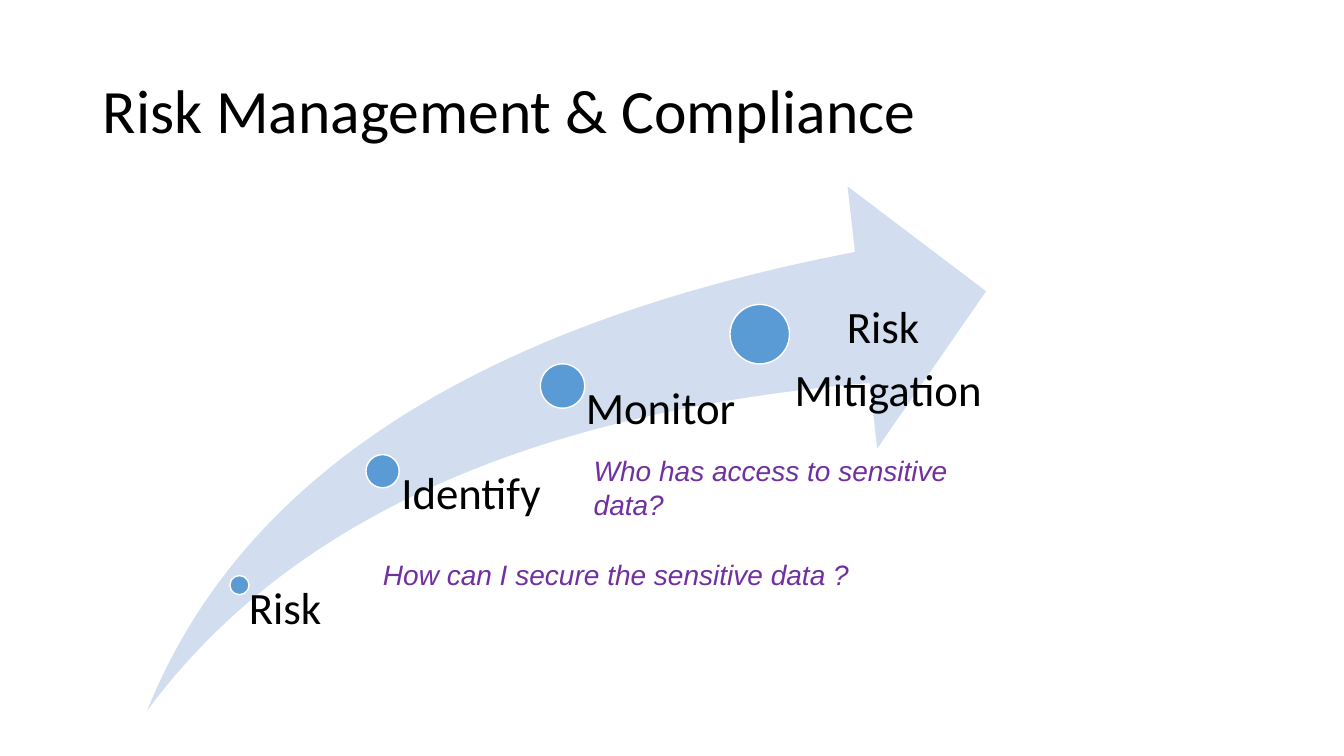
from pptx import Presentation
from pptx.dml.color import RGBColor
from pptx.enum.shapes import MSO_SHAPE
from pptx.enum.text import MSO_ANCHOR, PP_ALIGN
from pptx.util import Inches, Pt

BLACK = RGBColor(0x00, 0x00, 0x00)
WHITE = RGBColor(0xFF, 0xFF, 0xFF)
PALE_BLUE = RGBColor(0xD2, 0xDE, 0xEF)
BLUE = RGBColor(0x5B, 0x9B, 0xD5)
PURPLE = RGBColor(0x70, 0x30, 0xA0)

prs = Presentation()
prs.slide_width, prs.slide_height = Inches(13.33), Inches(7.5)
s = prs.slides.add_slide(prs.slide_layouts[6])


def add_text(box, lines, size, font="Calibri", color=BLACK, italic=False,
             align=PP_ALIGN.LEFT, spacing=0.9, after=0, inset=None):
    tf = s.shapes.add_textbox(*[Inches(v) for v in box]).text_frame
    tf.word_wrap = True
    if inset is not None:
        tf.margin_left = Inches(inset)
        tf.margin_top = tf.margin_right = tf.margin_bottom = 0
    for i, line in enumerate(lines):
        p = tf.paragraphs[0] if i == 0 else tf.add_paragraph()
        p.alignment = align
        p.line_spacing = spacing
        p.space_after = Pt(after)
        r = p.add_run()
        r.text = line
        r.font.name, r.font.size = font, Pt(size)
        r.font.italic = italic
        r.font.color.rgb = color
    return tf


def add_filled(kind, box, color):
    sp = s.shapes.add_shape(kind, *[Inches(v) for v in box])
    sp.shadow.inherit = False
    sp.fill.solid()
    sp.fill.fore_color.rgb = color
    sp.line.fill.background()
    return sp


# Title
tf = add_text((0.92, 0.4, 11.5, 1.45), ["Risk Management & Compliance"], 44)
tf.vertical_anchor = MSO_ANCHOR.MIDDLE

# Rising arrow
arrow = add_filled(MSO_SHAPE.SWOOSH_ARROW, (1.46, 1.85, 8.32, 5.2), PALE_BLUE)
arrow.adjustments[0] = 0.25
arrow.adjustments[1] = 0.25

# Milestones: dot left, top, diameter; label box, left inset, lines, alignment
milestones = [
    (2.28, 5.71, 0.19, (2.37, 5.81, 1.42, 1.24), 0.1, ["Risk"], PP_ALIGN.LEFT),
    (3.63, 4.51, 0.33, (3.8, 4.67, 1.75, 2.38), 0.18, ["Identify"], PP_ALIGN.LEFT),
    (5.36, 3.61, 0.44, (5.58, 3.83, 1.75, 3.21), 0.23, ["Monitor"], PP_ALIGN.LEFT),
    (7.24, 3.02, 0.59, (7.19, 3.02, 2.93, 3.73), 0.31, ["Risk ", "Mitigation"],
     PP_ALIGN.CENTER),
]
for x, y, d, box, inset, lines, align in milestones:
    dot = add_filled(MSO_SHAPE.OVAL, (x, y, d, d), BLUE)
    dot.line.color.rgb = WHITE
    dot.line.width = Pt(1)
    add_text(box, lines, 32, align=align, after=11, inset=inset)

# Questions
questions = [
    ((3.7, 5.48, 4.9, 0.44), "How can I secure the sensitive data ?"),
    ((5.79, 4.45, 4.2, 0.75), "Who has access to sensitive data?"),
]
for box, question in questions:
    add_text(box, [question], 20, "Arial", PURPLE, italic=True, spacing=1.0)

prs.save("out.pptx")
